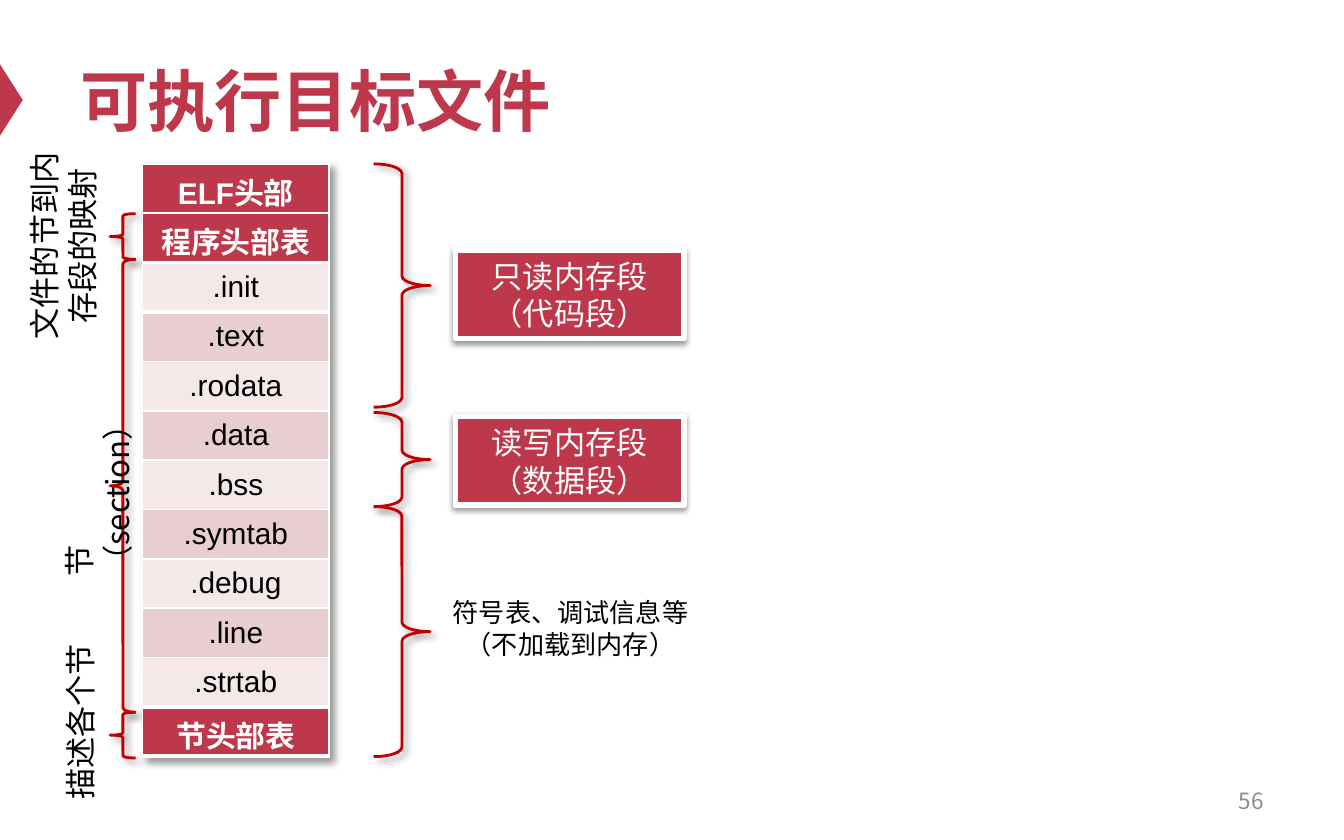
"""Build the slide on the layout of an executable object file."""
from lxml.etree import SubElement
from pptx import Presentation
from pptx.dml.color import RGBColor
from pptx.enum.shapes import MSO_SHAPE
from pptx.enum.text import MSO_ANCHOR, PP_ALIGN
from pptx.oxml import parse_xml
from pptx.oxml.ns import nsdecls, qn
from pptx.util import Pt

RED = RGBColor(0xBE, 0x38, 0x4B)
LINE = RGBColor(0xC0, 0x00, 0x00)
PALE = RGBColor(0xF4, 0xE8, 0xE9)
PINK = RGBColor(0xE8, 0xCE, 0xD0)
GREY = RGBColor(0x8C, 0x8C, 0x8C)
WHITE = RGBColor(0xFF, 0xFF, 0xFF)
BLACK = RGBColor(0x00, 0x00, 0x00)
NOTO = "Noto Sans CJK SC"

ROWS = ["ELF头部", "程序头部表", ".init", ".text", ".rodata", ".data", ".bss",
        ".symtab", ".debug", ".line", ".strtab", "节头部表"]
GRID = (76.3, 87.8, 100.1, 26.45)
LEFT = [(114.5, 24.5, 0.083), (139, 242.6, 0.169), (381.6, 24.5, 0.083)]
RIGHT = [(87.8, 130.3), (221, 50.4), (271.4, 133.9)]
BOXES = [(133.9, ["只读内存段", "（代码段）"]), (223.2, ["读写内存段", "（数据段）"])]
SIDE = [("文件的节到内存段的映射", (-27.4, 108, 122.4, 47.5), PP_ALIGN.CENTER, 7.2),
        ("节（section）", (-18.7, 241.2, 122.4, 27.4), PP_ALIGN.LEFT, 16),
        ("描述各个节", (-7.2, 373, 100.1, 27.4), PP_ALIGN.CENTER, 7.2)]
NOTE = ["符号表、调试信息等", "（不加载到内存）"]
SOFT = dict(alpha=40, blur=4, dist=3, turn=45)
DROP = dict(alpha=38, blur=3.1, dist=1.6, turn=90)


def assign(item, look):
    for key, value in look.items():
        setattr(item, key, value)


def shade(spot, alpha, blur, dist, turn):
    spot.append(parse_xml(
        f'<a:outerShdw {nsdecls("a")} blurRad="{Pt(blur)}" dist="{Pt(dist)}" '
        f'dir="{turn * 60000}" algn="ctr" rotWithShape="0"><a:srgbClr val="000000">'
        f'<a:alpha val="{alpha * 1000}"/></a:srgbClr></a:outerShdw>'))


def write(frame, lines, size, color, align=PP_ALIGN.CENTER, face=NOTO, bold=False, tight=True):
    for i, line in enumerate(lines):
        para = frame.add_paragraph() if i else frame.paragraphs[0]
        para.alignment = align
        if tight:
            para.line_spacing = Pt(round(size * 1.21, 1))
        run = para.add_run()
        run.text = line
        assign(run.font, dict(size=Pt(size), name=face, bold=bold))
        run.font.color.rgb = color
        SubElement(run.font._element, qn("a:ea")).set("typeface", NOTO)


def label(slide, place, lines, size, color, anchor=MSO_ANCHOR.TOP, turn=0, right=7.2, **look):
    box = slide.shapes.add_textbox(*map(Pt, place))
    box.rotation = turn
    assign(box.text_frame, dict(word_wrap=True, vertical_anchor=anchor, margin_right=Pt(right)))
    write(box.text_frame, lines, size, color, **look)


def draw(slide, kind, place, fill=None, line=None, width=0, shadow=None, turn=0):
    shape = slide.shapes.add_shape(kind, *map(Pt, place))
    shape.rotation = turn
    shape.shadow.inherit = False
    for part, color in ((shape.fill, fill), (shape.line.fill, line)):
        if color is None:
            part.background()
        else:
            part.solid()
            part.fore_color.rgb = color
    if line is not None:
        shape.line.width = Pt(width)
    if shadow:
        shade(shape._element.spPr.find(qn("a:effectLst")), **shadow)
    return shape


def brace(slide, place, curl, turn=0):
    shape = draw(slide, MSO_SHAPE.LEFT_BRACE, place, None, LINE, 1.5, SOFT, turn)
    shape.adjustments[0] = curl


def table(slide):
    left, top, width, step = GRID
    frame = slide.shapes.add_table(len(ROWS), 1, *map(Pt, (left, top, width, step * len(ROWS))))
    grid = frame.table
    assign(grid, dict(first_row=False, horz_banding=False))
    glow = parse_xml(f'<a:effectLst {nsdecls("a")}/>')
    shade(glow, **SOFT)
    grid._tbl.tblPr.insert(0, glow)
    for i, name in enumerate(ROWS):
        grid.rows[i].height = Pt(step)
        cell = grid.cell(i, 0)
        head = not name.startswith(".")
        assign(cell, dict(margin_top=Pt(3 if head else 0), margin_bottom=0,
                          margin_left=0, margin_right=0,
                          vertical_anchor=MSO_ANCHOR.MIDDLE))
        cell.fill.solid()
        cell.fill.fore_color.rgb = RED if head else (PINK if i % 2 else PALE)
        edge = cell._tc.get_or_add_tcPr()
        thick = dict(L=1, R=1, T=2.25 if i in (2, 3, 11) else 1, B=2.25 if i in (1, 2, 10, 11) else 1)
        for j, (side, size) in enumerate(thick.items()):
            edge.insert(j, parse_xml(
                f'<a:ln{side} {nsdecls("a")} w="{Pt(size)}"><a:solidFill>'
                f'<a:srgbClr val="{WHITE}"/></a:solidFill></a:ln{side}>'))
        write(cell.text_frame, [name], 16, WHITE if head else BLACK,
              face="Arial", bold=head, tight=False)


def main():
    deck = Presentation()
    assign(deck, dict(slide_width=Pt(720), slide_height=Pt(450)))
    slide = deck.slides.add_slide(deck.slide_layouts[6])
    draw(slide, MSO_SHAPE.ISOSCELES_TRIANGLE, (-13, 47.5, 38.2, 12.2), RED, turn=90)
    label(slide, (36, 18, 648, 70.6), ["可执行目标文件"], 36, RED, MSO_ANCHOR.MIDDLE,
          align=PP_ALIGN.LEFT, face="Arial", bold=True, tight=False)
    label(slide, (516.2, 416.9, 167.8, 23.8), ["56"], 12, GREY, MSO_ANCHOR.MIDDLE,
          align=PP_ALIGN.RIGHT, tight=False)
    for top, high, curl in LEFT:
        brace(slide, (59, top, 13.7, high), curl)
    for text, place, align, right in SIDE:
        label(slide, place, [text], 16.7, BLACK, turn=270, right=right, align=align)
    table(slide)
    for top, high in RIGHT:
        brace(slide, (200.2, top, 30.2, high), 0.169, 180)
    for top, lines in BOXES:
        box = draw(slide, MSO_SHAPE.RECTANGLE, (244, top, 122.4, 47.5), RED, WHITE, 3, DROP)
        assign(box.text_frame, dict(word_wrap=True, vertical_anchor=MSO_ANCHOR.TOP))
        write(box.text_frame, lines, 16.7, WHITE)
    label(slide, (229, 316.1, 153.4, 41), NOTE, 14, BLACK)
    deck.save("out.pptx")


if __name__ == "__main__":
    main()
